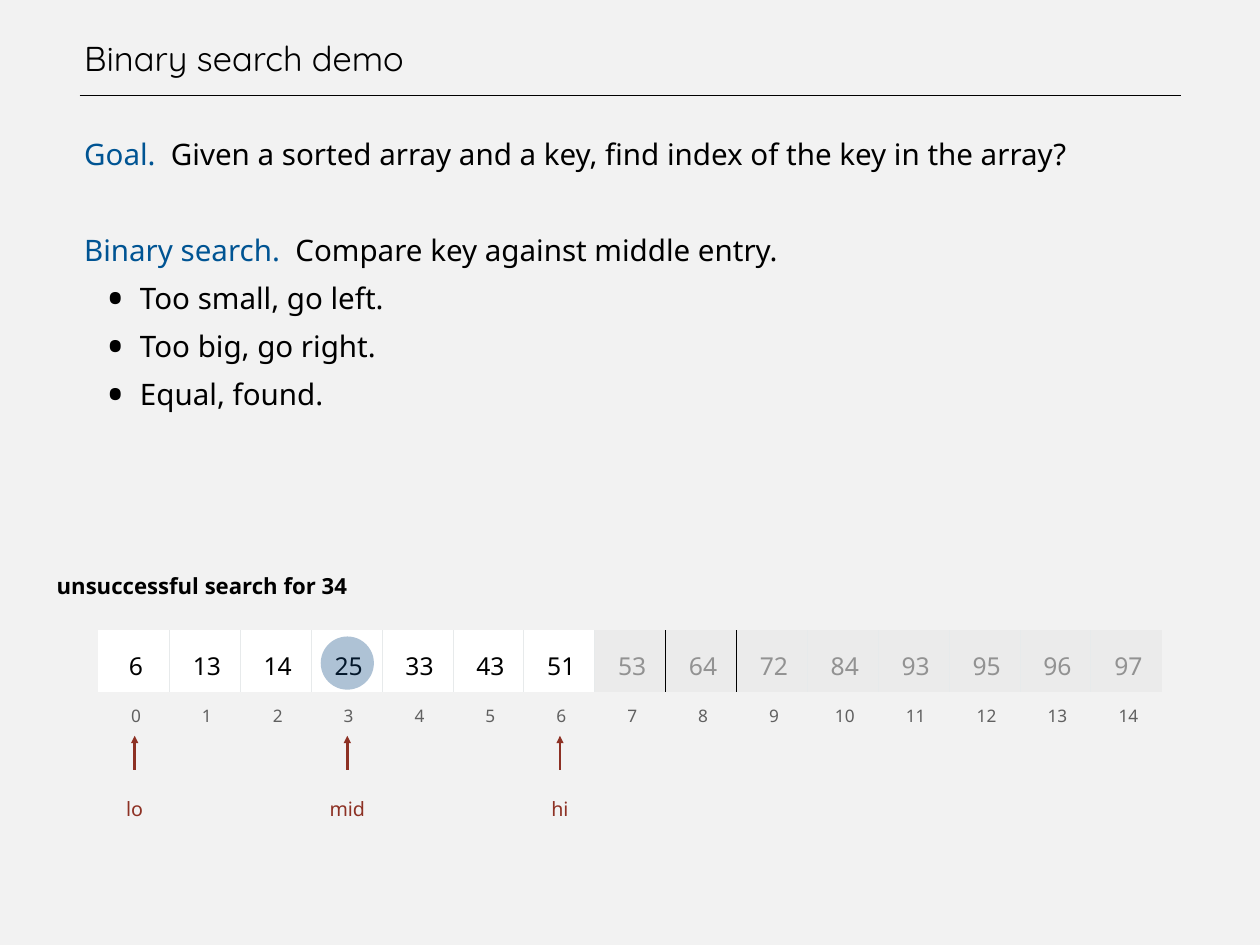
"""Build a slide that shows one step of an unsuccessful binary search."""
from lxml import etree
from pptx import Presentation
from pptx.dml.color import RGBColor
from pptx.enum.shapes import MSO_CONNECTOR as CONN, MSO_SHAPE as SHAPE
from pptx.enum.text import MSO_ANCHOR as ANCHOR, MSO_AUTO_SIZE as AUTO, PP_ALIGN as ALIGN
from pptx.oxml.ns import qn
from pptx.util import Inches, Pt

TITLE = "Binary search demo"
BODY = [
    ("Goal. ", " Given a sorted array and a key, find index of the key in the array?"),
    ("Binary search. ", " Compare key against middle entry."),
]
RULES = ["Too small, go left.", "Too big, go right.", "Equal, found."]
CAPTION = "unsuccessful search for 34"
VALUES = [6, 13, 14, 25, 33, 43, 51, 53, 64, 72, 84, 93, 95, 96, 97]
POINTERS = {"lo": 0, "mid": 3, "hi": 6}
DARK_EDGES = (8, 9)

W, H = 14.22, 10.66
LEFT, TEXT_W = 0.89, 12.44
GRID_X, GRID_Y, COL_W = 1.11, 7.11, 0.8
ROWS = (0.7, 0.41)
ARROW_TOP, ARROW_END, LABEL_Y = 8.3, 8.69, 8.8
DOT = 0.6
FONT, TITLE_FONT = "Noto Sans", "Quicksand"
BLACK, WHITE, PAPER, BLUE, RED = "000000", "FFFFFF", "F2F2F2", "005493", "8D3124"
OUT_FILL, OUT_TEXT, INDEX, EDGE, DOT_FILL = "EBEBEB", "929292", "606060", "E7EAEB", "0C4681"


def rgb(color):
    return RGBColor.from_string(color)


def add_xml(parent, tag, **attrs):
    return etree.SubElement(parent, qn(tag), attrs)


def put_text(p, text, size=24, color=BLACK, font=FONT, bold=False,
             align=ALIGN.LEFT, spacing=None, before=0, margin=0.06, indent=0):
    """Add a run to a paragraph and format both."""
    r = p.add_run()
    r.text = text
    r.font.size, r.font.name, r.font.bold = Pt(size), font, bold
    r.font.color.rgb = rgb(color)
    p.alignment, p.line_spacing, p.space_before = align, spacing, Pt(before)
    pPr = p._p.get_or_add_pPr()
    pPr.set("marL", str(Inches(margin)))
    pPr.set("indent", str(Inches(indent)))


def set_frame(tf, inset=0, anchor=ANCHOR.TOP):
    tf.word_wrap, tf.auto_size, tf.vertical_anchor = True, AUTO.NONE, anchor
    tf.margin_left = tf.margin_right = tf.margin_top = tf.margin_bottom = Inches(inset)


def add_box(s, x, y, w, h, inset=0):
    tf = s.shapes.add_textbox(*map(Inches, (x, y, w, h))).text_frame
    set_frame(tf, inset)
    return tf


def add_line(s, x1, y1, x2, y2, color, width, arrow=False):
    line = s.shapes.add_connector(CONN.STRAIGHT, *map(Inches, (x1, y1, x2, y2)))
    line.line.color.rgb, line.line.width = rgb(color), Pt(width)
    if arrow:
        add_xml(line.line._get_or_add_ln(), "a:headEnd", type="triangle")
    add_xml(line._element.spPr, "a:effectLst")


def add_title(s):
    t = s.shapes.title
    t.left, t.top, t.width, t.height = map(Inches, (LEFT, 0, TEXT_W, LEFT))
    set_frame(t.text_frame, anchor=ANCHOR.BOTTOM)
    put_text(t.text_frame.paragraphs[0], TITLE, size=28, font=TITLE_FONT)
    add_line(s, 0.9, 1.08, 13.33, 1.08, BLACK, 1)


def add_body(s):
    tf = add_box(s, LEFT, 1.39, TEXT_W, 3.5)
    for i, (lead, rest) in enumerate(BODY):
        p = tf.add_paragraph() if i else tf.paragraphs[0]
        for text, color in ((lead, BLUE), (rest, BLACK)):
            put_text(p, text, color=color, spacing=Pt(39), before=39 * i)
    for rule in RULES:
        p = tf.add_paragraph()
        p.level = 1
        put_text(p, rule, spacing=Pt(39), margin=0.69, indent=-0.38)
        pPr = p._p.get_or_add_pPr()
        add_xml(add_xml(pPr, "a:buClr"), "a:srgbClr", val=BLACK)
        add_xml(pPr, "a:buSzPct", val="166000")
        add_xml(pPr, "a:buFont", typeface=FONT)
        add_xml(pPr, "a:buChar", char="•")


def set_borders(cell, left, right):
    tcPr = cell._tc.get_or_add_tcPr()
    for side, color in (("L", left), ("R", right), ("T", None), ("B", None)):
        ln = add_xml(tcPr, f"a:ln{side}", w=str(Pt(0.45)))
        if color:
            add_xml(add_xml(ln, "a:solidFill"), "a:srgbClr", val=color)
        else:
            add_xml(ln, "a:noFill")


def add_array(s):
    n = len(VALUES)
    box = map(Inches, (GRID_X, GRID_Y, n * COL_W, sum(ROWS)))
    table = s.shapes.add_table(len(ROWS), n, *box).table
    table.first_row = table.horz_banding = False
    for row, height in zip(table.rows, ROWS):
        row.height = Inches(height)
    edges = [None] + [BLACK if i in DARK_EDGES else EDGE for i in range(1, n)] + [None]
    for i, value in enumerate(VALUES):
        table.columns[i].width = Inches(COL_W)
        active = POINTERS["lo"] <= i <= POINTERS["hi"]
        looks = (
            (value, 20, BLACK if active else OUT_TEXT, WHITE if active else OUT_FILL, edges[i:i + 2]),
            (i, 14, INDEX, None, (None, None)),
        )
        for row, (text, size, color, fill, sides) in enumerate(looks):
            cell = table.cell(row, i)
            cell.vertical_anchor = ANCHOR.MIDDLE
            cell.margin_left = cell.margin_right = Inches(0.06)
            cell.margin_top = cell.margin_bottom = Inches(0.05)
            put_text(cell.text_frame.paragraphs[0], str(text), size=size, color=color,
                     align=ALIGN.CENTER, spacing=1.3, margin=0.05)
            set_borders(cell, *sides)
            if fill:
                cell.fill.solid()
                cell.fill.fore_color.rgb = rgb(fill)
            else:
                cell.fill.background()


def column_center(i):
    return GRID_X + (i + 0.5) * COL_W + 0.01


def add_pointers(s):
    for name, i in POINTERS.items():
        x = column_center(i)
        add_line(s, x, ARROW_TOP, x, ARROW_END, RED, 2, arrow=True)
        tf = add_box(s, x - COL_W / 2, LABEL_Y, COL_W, 0.51, inset=0.06)
        put_text(tf.paragraphs[0], name, size=16, color=RED,
                 align=ALIGN.CENTER, spacing=1.5, margin=0)


def add_mid_dot(s):
    x = column_center(POINTERS["mid"]) - DOT / 2
    dot = s.shapes.add_shape(SHAPE.OVAL, *map(Inches, (x, 7.18, DOT, DOT)))
    dot.shadow.inherit = False
    dot.line.fill.background()
    dot.fill.solid()
    dot.fill.fore_color.rgb = rgb(DOT_FILL)
    add_xml(dot._element.spPr.find(".//" + qn("a:srgbClr")), "a:alpha", val="33000")


def main():
    prs = Presentation()
    prs.slide_width, prs.slide_height = Inches(W), Inches(H)
    s = prs.slides.add_slide(prs.slide_layouts[5])
    s.background.fill.solid()
    s.background.fill.fore_color.rgb = rgb(PAPER)
    add_title(s)
    add_body(s)
    add_array(s)
    add_pointers(s)
    add_mid_dot(s)
    caption = add_box(s, 0.52, 6.25, 4, 0.56, inset=0.06)
    put_text(caption.paragraphs[0], CAPTION, size=18, bold=True, spacing=1.5)
    prs.save("out.pptx")


if __name__ == "__main__":
    main()
